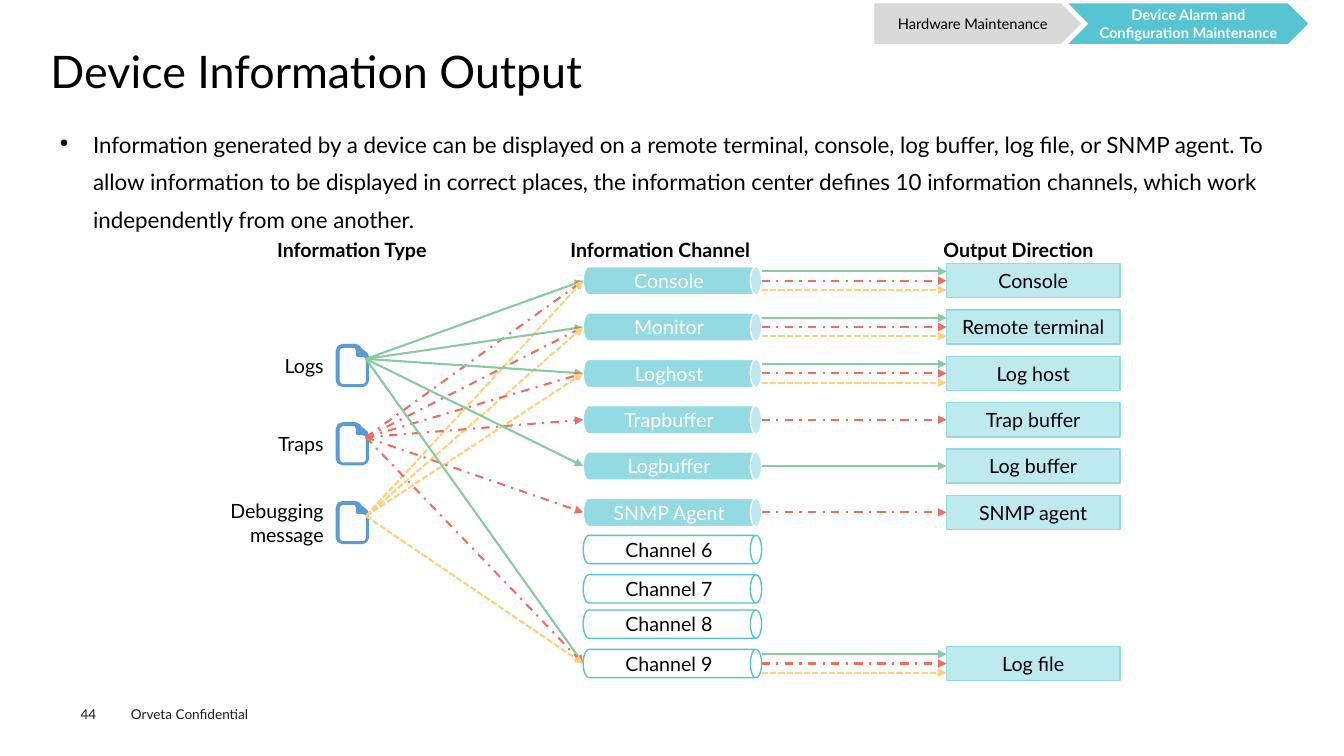
from dataclasses import dataclass

from pptx import Presentation
from pptx.dml.color import RGBColor
from pptx.enum.dml import MSO_LINE
from pptx.enum.shapes import MSO_CONNECTOR, MSO_SHAPE
from pptx.enum.text import MSO_ANCHOR, PP_ALIGN
from pptx.oxml.ns import qn
from pptx.util import Inches, Pt
from lxml import etree

CAN, RECT = MSO_SHAPE.CAN, MSO_SHAPE.RECTANGLE
PENTAGON, CHEVRON = MSO_SHAPE.PENTAGON, MSO_SHAPE.CHEVRON
STRAIGHT = MSO_CONNECTOR.STRAIGHT
DASH_DOT, SHORT_DASH = MSO_LINE.DASH_DOT, MSO_LINE.SQUARE_DOT
LEFT, CENTER, RIGHT = PP_ALIGN.LEFT, PP_ALIGN.CENTER, PP_ALIGN.RIGHT
TOP, MIDDLE = MSO_ANCHOR.TOP, MSO_ANCHOR.MIDDLE

FONT = "Lato"
BLACK, WHITE, TEAL, LIGHT_TEAL, PALE = "000000", "FFFFFF", "56C4D2", "94DAE2", "BEE9EE"
INSETS = (0.1, 0.05)
NO_INSETS = (0, 0)

SLIDE_W, SLIDE_H = Inches(13.33), Inches(7.5)
FIRST_ROW, ROW_PITCH, LANE_GAP = 37.13, 6.13, 1.23
CAN_X, CAN_W, CAN_H = 43.39, 13.28, 3.73
BOX_X, BOX_W, BOX_H = 70.43, 12.9, 4.53
ICON_X, ICON_RISE = 24.98, 2.87
SOURCE_X, SOURCE_RISE = 27.23, 0.87
ICON_UNIT = SLIDE_W / 1333
PAGE_OUTLINE = [(29, 7), (26, 5), (24, 2), (20, 0), (7, 0), (2, 2), (0, 7), (0, 37), (2, 41),
                (7, 43), (27, 43), (31, 41), (33, 37), (33, 13), (32, 10)]
PAGE_INSIDE = [(30, 37), (29, 39), (27, 40), (7, 40), (5, 39), (4, 37), (4, 7), (5, 5), (7, 4),
               (19, 4), (20, 7), (20, 12), (22, 13), (27, 13), (29, 14), (30, 15)]


@dataclass
class InfoType:
    label: str
    row: float
    color: str
    dash: MSO_LINE | None
    lane: int


@dataclass
class Channel:
    label: str
    row: float
    output: str = ""
    types: str = ""
    filled: bool = True


@dataclass
class Caption:
    text: str
    area: tuple[float, float, float, float]
    size: float
    color: str = BLACK
    bold: bool = False
    insets: tuple[float, float] = INSETS


@dataclass
class Step:
    kind: MSO_SHAPE
    area: tuple[float, float, float, float]
    fill: str
    caption: Caption


INFO_TYPES = {
    "L": InfoType("Logs", 1.83, "8BC9A0", None, -1),
    "T": InfoType("Traps", 3.52, "EC7061", DASH_DOT, 0),
    "D": InfoType("Debugging message", 5.22, "FFD17D", SHORT_DASH, 1),
}
CHANNELS = [
    Channel("Console", 0, "Console", "LTD"),
    Channel("Monitor", 1, "Remote terminal", "LTD"),
    Channel("Loghost", 2, "Log host", "LTD"),
    Channel("Trapbuffer", 3, "Trap buffer", "T"),
    Channel("Logbuffer", 4, "Log buffer", "L"),
    Channel("SNMP Agent", 5, "SNMP agent", "T"),
    Channel("Channel 6", 5.8, filled=False),
    Channel("Channel 7", 6.65, filled=False),
    Channel("Channel 8", 7.41, filled=False),
    Channel("Channel 9", 8.26, "Log file", "LTD", filled=False),
]
CAPTIONS = [
    Caption("Orveta Confidential", (9, 92.67, 14, 3.6), 9.7, "1D1D1B"),
    Caption("44", (6, 93.33, 4.13, 2.13), 9.7, "1D1D1B", insets=NO_INSETS),
    Caption("Information Type", (19.88, 30.8, 13.88, 4.53), 14, bold=True),
    Caption("Information Channel", (41.7, 30.8, 16.35, 4.53), 14, bold=True),
    Caption("Output Direction", (69.45, 30.8, 13.58, 4.53), 14, bold=True),
]
TITLE = Caption("Device Information Output", (3.75, 6.53, 92.63, 7.2), 32, insets=NO_INSETS)
BODY = Caption(
    "Information generated by a device can be displayed on a remote terminal, console, log buffer, "
    "log file, or SNMP agent. To allow information to be displayed in correct places, the information "
    "center defines 10 information channels, which work independently from one another.",
    (3.75, 15.33, 92.63, 71.07), 16, insets=(0.09, 0.04))
STEPS = [
    Step(PENTAGON, (65.1, 0.53, 15.3, 5.2), "D9D9D9",
         Caption("Hardware Maintenance", (0, 0, 0, 0), 10.5, insets=NO_INSETS)),
    Step(CHEVRON, (79.58, 0.53, 17.7, 5.2), TEAL,
         Caption("Device Alarm and Configuration Maintenance", (0, 0, 0, 0), 10.5, WHITE, True, NO_INSETS)),
]


def across(share: float) -> int:
    return round(SLIDE_W * share / 100)


def down(share: float) -> int:
    return round(SLIDE_H * share / 100)


def row_y(row: float) -> float:
    return FIRST_ROW + row * ROW_PITCH


def rgb(color: str) -> RGBColor:
    return RGBColor.from_string(color)


def write(sp, caption: Caption, align=LEFT, anchor=TOP):
    tf = sp.text_frame
    tf.text = caption.text
    tf.word_wrap = True
    tf.vertical_anchor = anchor
    tf.margin_left = tf.margin_right = Inches(caption.insets[0])
    tf.margin_top = tf.margin_bottom = Inches(caption.insets[1])
    p = tf.paragraphs[0]
    p.alignment = align
    font = p.runs[0].font
    font.name, font.size, font.bold = FONT, Pt(caption.size), caption.bold
    font.color.rgb = rgb(caption.color)
    return p


def add_text(s, caption: Caption, align=LEFT, anchor=TOP):
    x, y, w, h = caption.area
    sp = s.shapes.add_textbox(across(x), down(y), across(w), down(h))
    return write(sp, caption, align, anchor)


def paint(sp, fill: str, line: str | None, width: float = 1) -> None:
    sp.shadow.inherit = False
    sp.fill.solid()
    sp.fill.fore_color.rgb = rgb(fill)
    if line is None:
        sp.line.fill.background()
    else:
        sp.line.color.rgb = rgb(line)
        sp.line.width = Pt(width)


def add_bullet(p) -> None:
    pPr = p._p.get_or_add_pPr()
    pPr.set("marL", str(across(2.5)))
    pPr.set("indent", str(-across(2.5)))
    etree.SubElement(pPr, qn("a:buSzPct")).set("val", "50000")
    etree.SubElement(pPr, qn("a:buChar")).set("char", "●")
    p.line_spacing = 1.4


def add_can(s, channel: Channel) -> None:
    y = row_y(channel.row)
    w, h = down(CAN_H), across(CAN_W)
    sp = s.shapes.add_shape(CAN, across(CAN_X + CAN_W / 2) - w // 2, down(y) - h // 2, w, h)
    sp.rotation = 90
    sp.adjustments[0] = 0.4
    paint(sp, LIGHT_TEAL if channel.filled else WHITE, WHITE if channel.filled else TEAL)
    area = (CAN_X, y - BOX_H / 2, CAN_W - 0.5, BOX_H)
    add_text(s, Caption(channel.label, area, 14, WHITE if channel.filled else BLACK), CENTER, MIDDLE)


def add_box(s, channel: Channel):
    y = row_y(channel.row) - BOX_H / 2
    sp = s.shapes.add_shape(RECT, across(BOX_X), down(y), across(BOX_W), down(BOX_H))
    paint(sp, PALE, LIGHT_TEAL)
    write(sp, Caption(channel.output, (0, 0, 0, 0), 14), CENTER, MIDDLE)
    return sp


def add_info_type(s, info: InfoType) -> None:
    y = row_y(info.row)
    builder = s.shapes.build_freeform(*PAGE_OUTLINE[0], scale=ICON_UNIT)
    builder.add_line_segments(PAGE_OUTLINE[1:])
    builder.move_to(*PAGE_INSIDE[0])
    builder.add_line_segments(PAGE_INSIDE[1:])
    paint(builder.convert_to_shape(across(ICON_X), down(y - ICON_RISE)), "5B9BD5", None)
    add_text(s, Caption(info.label, (11.55, y - 3.8, 13.28, 7.6), 14), RIGHT, MIDDLE)


def add_arrow(s, info: InfoType, x1: float, y1: float, x2: float, y2: float):
    sp = s.shapes.add_connector(STRAIGHT, across(x1), down(y1), across(x2), down(y2))
    sp.line.color.rgb = rgb(info.color)
    sp.line.width = Pt(1.5)
    if info.dash is not None:
        sp.line.dash_style = info.dash
    etree.SubElement(sp.line._get_or_add_ln(), qn("a:tailEnd")).set("type", "triangle")
    etree.SubElement(sp._element.spPr, qn("a:effectLst"))
    return sp


def add_flows(s, channel: Channel, box) -> None:
    y = row_y(channel.row)
    for key in channel.types:
        info = INFO_TYPES[key]
        add_arrow(s, info, SOURCE_X, row_y(info.row) - SOURCE_RISE, CAN_X, y)
        lane = info.lane if len(channel.types) > 1 else 0
        lane_y = y + lane * LANE_GAP
        sp = add_arrow(s, info, CAN_X + CAN_W, lane_y, BOX_X, lane_y)
        if lane == 0:
            sp.end_connect(box, 1)


def main() -> None:
    prs = Presentation()
    prs.slide_width, prs.slide_height = SLIDE_W, SLIDE_H
    s = prs.slides.add_slide(prs.slide_layouts[6])
    add_text(s, TITLE).line_spacing = 0.9
    add_bullet(add_text(s, BODY))
    for caption in CAPTIONS:
        add_text(s, caption)
    for info in INFO_TYPES.values():
        add_info_type(s, info)
    for channel in CHANNELS:
        add_can(s, channel)
    for channel in CHANNELS:
        if channel.output:
            add_flows(s, channel, add_box(s, channel))
    for step in STEPS:
        x, y, w, h = step.area
        sp = s.shapes.add_shape(step.kind, across(x), down(y), across(w), down(h))
        paint(sp, step.fill, step.fill, 0.75)
        write(sp, step.caption, CENTER, MIDDLE)
    prs.save("out.pptx")


if __name__ == "__main__":
    main()
